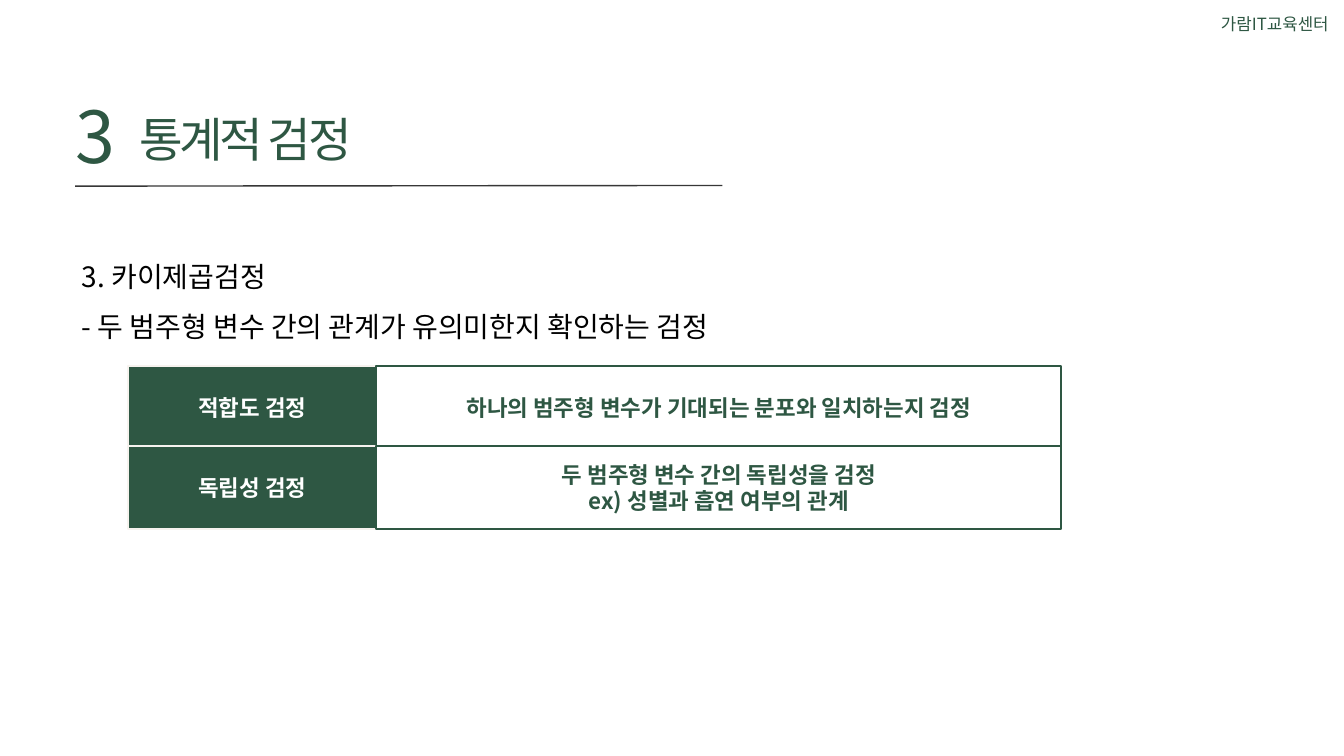
"""Build the chi-square test slide with its heading, summary and comparison grid."""
from lxml import etree
from pptx import Presentation
from pptx import util as u
from pptx.dml.color import RGBColor
from pptx.enum import shapes, text
from pptx.oxml.ns import qn

GREEN = RGBColor(0x2E, 0x57, 0x43)
CREAM = RGBColor(0xF7, 0xF3, 0xEF)
CHARCOAL = RGBColor(0x37, 0x37, 0x37)
WHITE = RGBColor(0xFF, 0xFF, 0xFF)
BLACK = RGBColor(0, 0, 0)


class SlideBuilder:
    """Holds the style and the current slide."""

    typeface = "Noto Sans CJK KR"
    flush = dict.fromkeys(("margin_left", "margin_top", "margin_right", "margin_bottom"), 0)

    def __init__(self, slide):
        self.slide = slide

    def fill_text(self, frame, lines, size, color, bold=False, tracking=None,
                  frame_format=None, **paragraph_format):
        """Fill a text frame with one paragraph per line."""
        settings = {"word_wrap": True, "vertical_anchor": text.MSO_ANCHOR.TOP,
                    **(frame_format or {})}
        for key, value in settings.items():
            setattr(frame, key, value)
        frame.text = "\n".join(lines)
        for paragraph in frame.paragraphs:
            for key, value in paragraph_format.items():
                setattr(paragraph, key, value)
            font = paragraph.runs[0].font
            font.color.rgb = color
            for key, value in {"name": self.typeface, "size": u.Pt(size), "bold": bold}.items():
                setattr(font, key, value)
            properties = paragraph.runs[0]._r.get_or_add_rPr()
            etree.SubElement(properties, qn("a:ea"), typeface=self.typeface)
            if tracking is not None:
                properties.set("spc", str(round(tracking * 100)))

    def title(self, box, wording, size, color, **style):
        """Place the title placeholder and fill it."""
        heading = self.slide.shapes.title
        for key, value in zip(("left", "top", "width", "height"), box):
            setattr(heading, key, u.Inches(value))
        self.fill_text(heading.text_frame, [wording], size, color,
                       alignment=text.PP_ALIGN.LEFT, **style)
        heading.text_frame.auto_size = text.MSO_AUTO_SIZE.NONE

    def label(self, box, lines, size, color, **style):
        """Add a text box."""
        holder = self.slide.shapes.add_textbox(*map(u.Inches, box))
        self.fill_text(holder.text_frame, lines, size, color, **style)

    def rule(self, start, end, color, weight):
        """Add a straight line without a shadow."""
        line = self.slide.shapes.add_connector(
            shapes.MSO_CONNECTOR.STRAIGHT, *map(u.Inches, start + end))
        line.line.color.rgb = color
        line.line.width = u.Pt(weight)
        etree.SubElement(line._element.spPr, qn("a:effectLst"))

    def cell(self, box, lines, fill, border, color):
        """Add an outlined rectangle with centred bold text."""
        panel = self.slide.shapes.add_shape(shapes.MSO_SHAPE.RECTANGLE, *map(u.Inches, box))
        panel.shadow.inherit = False
        panel.fill.solid()
        panel.fill.fore_color.rgb = fill
        panel.line.color.rgb = border
        panel.line.width = u.Pt(2)
        self.fill_text(panel.text_frame, lines, 24, color, bold=True,
                       frame_format={"vertical_anchor": text.MSO_ANCHOR.MIDDLE},
                       alignment=text.PP_ALIGN.CENTER)


def main():
    deck = Presentation()
    deck.slide_width, deck.slide_height = u.Inches(20), u.Inches(11.25)
    page = SlideBuilder(deck.slides.add_slide(deck.slide_layouts[5]))

    page.label((17.95, 0.15, 1.92, 0.4), ["가람IT교육센터"], 18, GREEN,
               alignment=text.PP_ALIGN.RIGHT)
    page.rule((1.12, 2.77), (10.75, 2.76), CHARCOAL, 1.5)
    page.title((2.07, 1.5, 5.98, 0.92), "통계적 검정", 50.8, GREEN, tracking=-3.4,
               frame_format=page.flush, line_spacing=u.Pt(71.1))
    page.label((1.12, 1.16, 0.79, 1.38), ["3"], 76.8, GREEN, tracking=-5.1,
               frame_format=page.flush, line_spacing=u.Pt(107.5))
    page.label((1.12, 3.56, 15.9, 1.53),
               ["3. 카이제곱검정", "- 두 범주형 변수 간의 관계가 유의미한지 확인하는 검정"],
               30, BLACK, line_spacing=1.5)

    tests = [
        ("적합도 검정", ["하나의 범주형 변수가 기대되는 분포와 일치하는지 검정"]),
        ("독립성 검정", ["두 범주형 변수 간의 독립성을 검정", "ex) 성별과 흡연 여부의 관계"]),
    ]
    left, top, name_width, purpose_width, height, pitch = 1.91, 5.45, 3.69, 10.19, 1.23, 1.19
    for row, (name, purpose) in enumerate(tests):
        y = top + row * pitch
        page.cell((left, y, name_width, height), [name], GREEN, CREAM, WHITE)
        page.cell((left + name_width, y, purpose_width, height), purpose, WHITE, GREEN, GREEN)

    deck.save("out.pptx")


if __name__ == "__main__":
    main()
